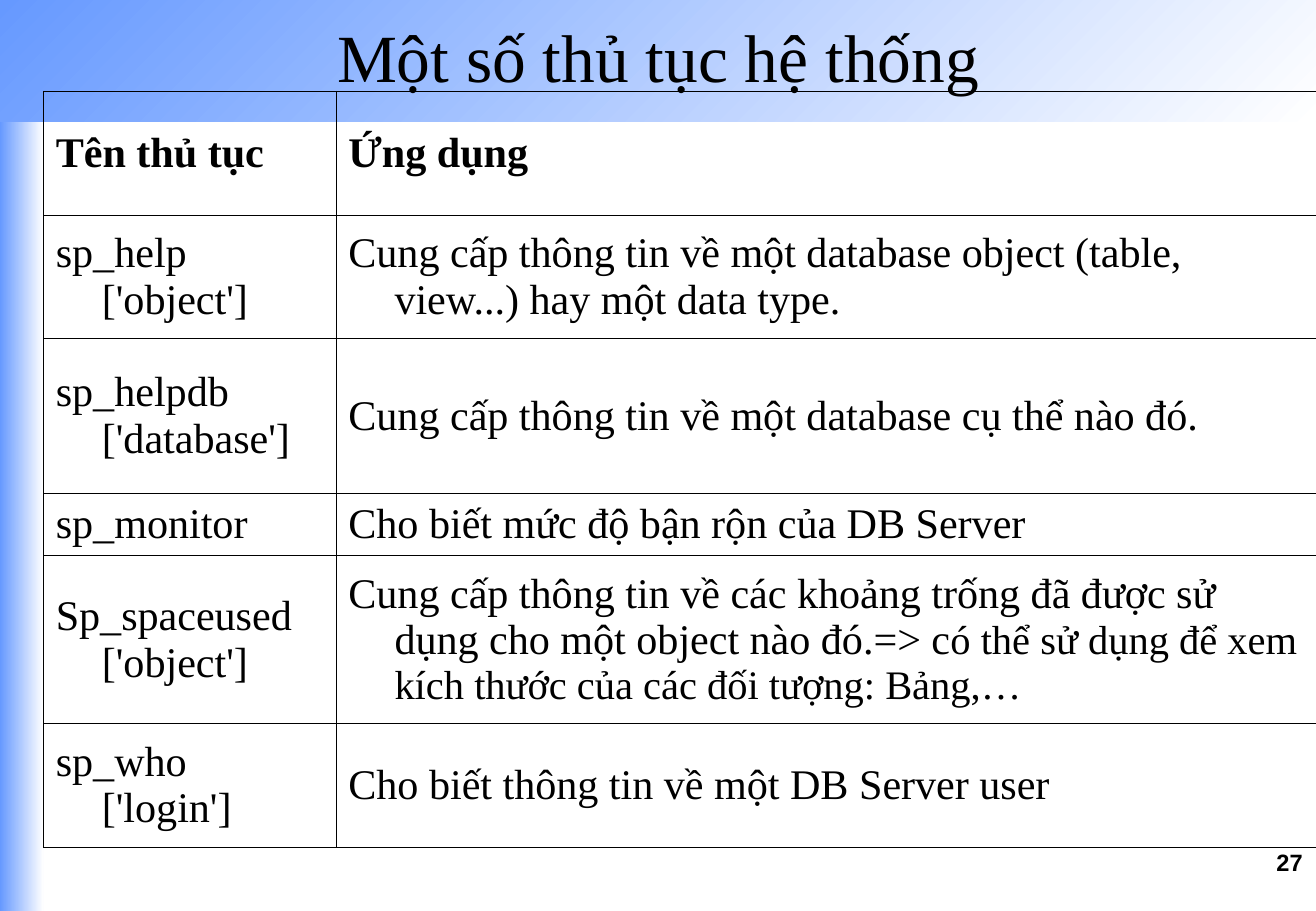
import pptx
import pptx.dml.color
import pptx.enum.shapes
import pptx.enum.text
import pptx.oxml
import pptx.oxml.ns
import pptx.util
from dataclasses import dataclass
from lxml import etree

Inches = pptx.util.Inches
Pt = pptx.util.Pt
RGB = pptx.dml.color.RGBColor.from_string
ALIGN = pptx.enum.text.PP_ALIGN
ANCHOR = pptx.enum.text.MSO_ANCHOR


@dataclass(frozen=True)
class Theme:
    ink: str = "000000"
    blue: str = "6699FF"
    white: str = "FFFFFF"
    serif: str = "Times New Roman"
    sans: str = "Arial"
    title: float = 40
    body: float = 25
    body_small: float = 24
    number: float = 14
    border: float = 0.45


THEME = Theme()
WIDTH, HEIGHT = 10.84, 7.5
COLUMNS = (2.41, 8.07)
ROW_HEIGHTS = (1.02, 1.02, 1.27, 0.46, 1.38, 1.02)

# Each cell is a list of (text, size) runs
PROCEDURES = [
    ([("Tên thủ tục", THEME.body)], [("Ứng dụng", THEME.body)]),
    ([("sp_help ['object']", THEME.body)],
     [("Cung cấp thông tin về một database object (table, view...) hay một data type.",
       THEME.body)]),
    ([("sp_helpdb ['database']", THEME.body)],
     [("Cung cấp thông tin về một database cụ thể nào đó.", THEME.body)]),
    ([("sp_monitor", THEME.body)],
     [("Cho biết mức độ bận rộn của DB Server", THEME.body)]),
    ([("Sp_spaceused ['object']", THEME.body)],
     [("Cung cấp thông tin về các khoảng trống đã được sử dụng cho một object nào đó.=> c",
       THEME.body),
      ("ó thể sử dụng để xem kích thước của các đối tượng: Bảng,…", THEME.body_small)]),
    ([("sp_who ['login']", THEME.body)],
     [("Cho biết thông tin về một DB Server user", THEME.body)]),
]


def add_run(paragraph, text, size, name=THEME.serif, bold=False):
    run = paragraph.add_run()
    run.text = text
    for attribute, value in {"name": name, "size": Pt(size), "bold": bold}.items():
        setattr(run.font, attribute, value)
    run.font.color.rgb = RGB(THEME.ink)


def add_gradient_band(slide, box, angle):
    shape = slide.shapes.add_shape(
        pptx.enum.shapes.MSO_SHAPE.RECTANGLE, *map(Inches, box))
    shape.shadow.inherit = False
    shape.line.fill.background()
    shape.fill.gradient()
    shape.fill.gradient_angle = angle
    for stop, color in zip(shape.fill.gradient_stops, (THEME.blue, THEME.white)):
        stop.color.rgb = RGB(color)


def add_text(slide, box, text, alignment, anchor, **font):
    frame = slide.shapes.add_textbox(*map(Inches, box)).text_frame
    for attribute, value in {"word_wrap": True, "vertical_anchor": anchor}.items():
        setattr(frame, attribute, value)
    paragraph = frame.paragraphs[0]
    paragraph.alignment = alignment
    add_run(paragraph, text, **font)


def set_borders(cell):
    properties = cell._tc.get_or_add_tcPr()
    for side in ("a:lnL", "a:lnR", "a:lnT", "a:lnB"):
        line = etree.SubElement(properties, pptx.oxml.ns.qn(side),
                                w=str(int(Pt(THEME.border))))
        fill = etree.SubElement(line, pptx.oxml.ns.qn("a:solidFill"))
        etree.SubElement(fill, pptx.oxml.ns.qn("a:srgbClr"), val=THEME.ink)


def fill_cell(cell, runs, bold):
    set_borders(cell)
    cell.fill.background()
    cell.vertical_anchor = ANCHOR.MIDDLE
    paragraph = cell.text_frame.paragraphs[0]
    # Hanging indent
    indent = Inches(0.38)
    properties = paragraph._p.get_or_add_pPr()
    for attribute, value in {"marL": indent, "indent": -indent}.items():
        properties.set(attribute, str(int(value)))
    for text, size in runs:
        add_run(paragraph, text, size, bold=bold)


def add_procedure_table(slide, left, top):
    table = slide.shapes.add_table(
        len(ROW_HEIGHTS), len(COLUMNS), Inches(left), Inches(top),
        Inches(sum(COLUMNS)), Inches(sum(ROW_HEIGHTS))).table
    table.first_row = table.horz_banding = False
    for column, width in zip(table.columns, COLUMNS):
        column.width = Inches(width)
    for index, (row, height) in enumerate(zip(table.rows, ROW_HEIGHTS)):
        row.height = Inches(height)
        for cell, runs in zip(row.cells, PROCEDURES[index]):
            fill_cell(cell, runs, bold=index == 0)


def build_slide(presentation):
    slide = presentation.slides.add_slide(presentation.slide_layouts[6])
    # Background bands
    add_gradient_band(slide, (0, 0, 0.36, HEIGHT), 0)
    add_gradient_band(slide, (0, 0, WIDTH, 1), 315)
    # Slide number and title
    add_text(slide, (7.76, 6.93, 3.07, 0.52), "27", ALIGN.RIGHT, ANCHOR.TOP,
             size=THEME.number, name=THEME.sans, bold=True)
    add_text(slide, (0, 0, WIDTH, 0.92), "Một số thủ tục hệ thống",
             ALIGN.CENTER, ANCHOR.MIDDLE, size=THEME.title)
    # System procedures
    add_procedure_table(slide, 0.36, 0.75)


def main():
    presentation = pptx.Presentation()
    presentation.slide_width = Inches(WIDTH)
    presentation.slide_height = Inches(HEIGHT)
    build_slide(presentation)
    presentation.save("out.pptx")


if __name__ == "__main__":
    main()
